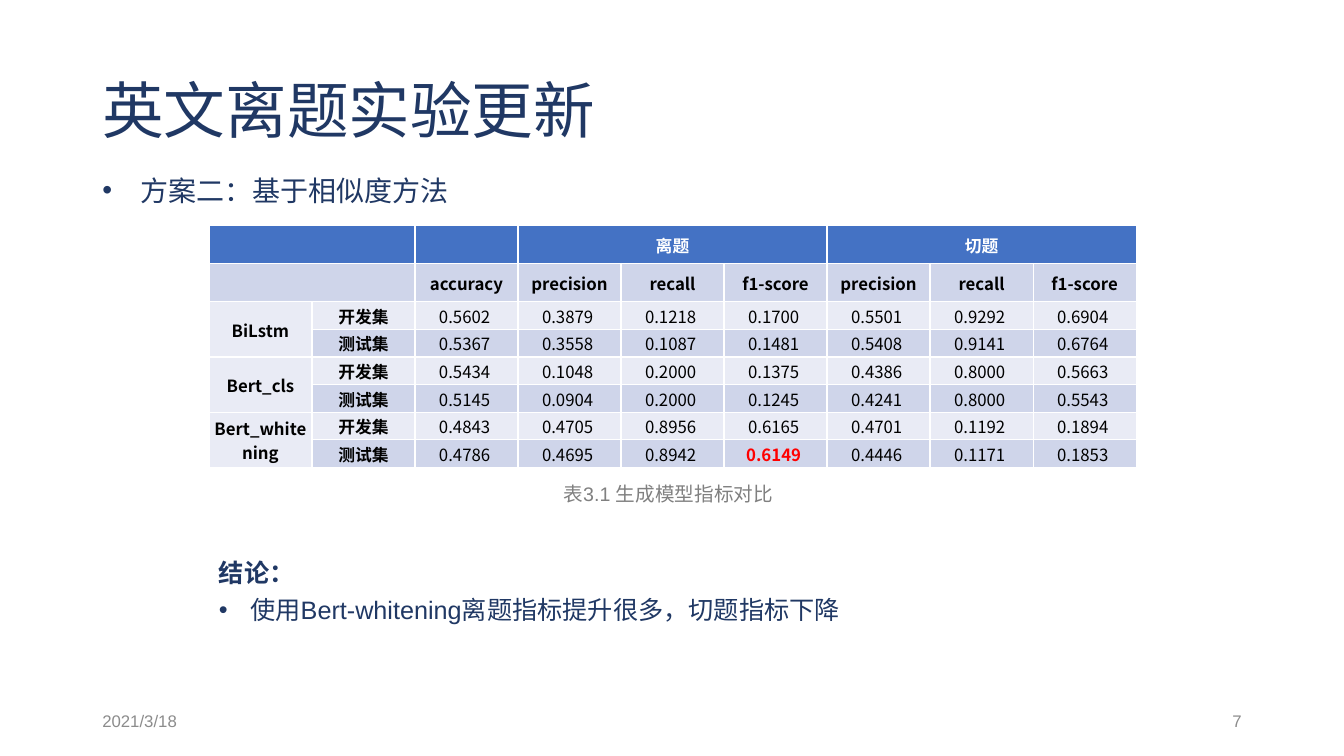
import pptx
import pptx.dml.color
import pptx.enum.lang
import pptx.enum.text
import pptx.oxml
import pptx.util

Pt = pptx.util.Pt
ALIGN = pptx.enum.text.PP_ALIGN
MIDDLE = pptx.enum.text.MSO_ANCHOR.MIDDLE

COLORS = {
    "navy": "203864", "footer": "8C8C8C", "caption": "808080",
    "header": "4472C4", "dark_band": "CFD5EA", "light_band": "E9EBF5",
    "white": "FFFFFF", "black": "000000", "best": "FF0000",
}

METRICS = ["precision", "recall", "f1-score"]
DATA_SETS = ["开发集", "测试集"]
RESULTS = {
    "BiLstm": [
        [0.5602, 0.3879, 0.1218, 0.1700, 0.5501, 0.9292, 0.6904],
        [0.5367, 0.3558, 0.1087, 0.1481, 0.5408, 0.9141, 0.6764],
    ],
    "Bert_cls": [
        [0.5434, 0.1048, 0.2000, 0.1375, 0.4386, 0.8000, 0.5663],
        [0.5145, 0.0904, 0.2000, 0.1245, 0.4241, 0.8000, 0.5543],
    ],
    "Bert_whitening": [
        [0.4843, 0.4705, 0.8956, 0.6165, 0.4701, 0.1192, 0.1894],
        [0.4786, 0.4695, 0.8942, 0.6149, 0.4446, 0.1171, 0.1853],
    ],
}
BEST_SCORE = 0.6149
COLUMN_WIDTH = 73.6
HEADING_HEIGHT = 27.4
ROW_HEIGHT = 19.75


def rgb(name):
    return pptx.dml.color.RGBColor.from_string(COLORS[name])


def style_runs(paragraph, size, font_name, color, bold=False):
    for run in paragraph.runs:
        run.font.size = Pt(size)
        run.font.name = font_name
        run.font.bold = bold
        run.font.color.rgb = rgb(color)
        run.font.language_id = pptx.enum.lang.MSO_LANGUAGE_ID.SIMPLIFIED_CHINESE


def add_bullet(paragraph, indent):
    properties = paragraph._p.get_or_add_pPr()
    properties.set("marL", str(Pt(indent)))
    properties.set("indent", str(-Pt(indent)))
    properties.append(pptx.oxml.parse_xml(
        '<a:buFont xmlns:a="http://schemas.openxmlformats.org/drawingml/2006/main" typeface="Arial"/>'))
    properties.append(pptx.oxml.parse_xml(
        '<a:buChar xmlns:a="http://schemas.openxmlformats.org/drawingml/2006/main" char="•"/>'))


def add_text(slide, text, left, top, width, height, size, font_name, color,
             anchor=None, align=None, wrap=True):
    """Add a text box in one style and return its text frame."""
    text_frame = slide.shapes.add_textbox(Pt(left), Pt(top), Pt(width), Pt(height)).text_frame
    text_frame.word_wrap = wrap
    text_frame.vertical_anchor = anchor
    text_frame.text = text
    for paragraph in text_frame.paragraphs:
        paragraph.alignment = align
        style_runs(paragraph, size, font_name, color)
    return text_frame


def fill_cell(cell, text, font_name="Noto Sans CJK SC", color="black", bold=True):
    cell.vertical_anchor = MIDDLE
    cell.margin_left = cell.margin_right = cell.margin_top = Pt(0.75)
    cell.margin_bottom = 0
    cell.text = text
    paragraph = cell.text_frame.paragraphs[0]
    paragraph.alignment = ALIGN.CENTER
    style_runs(paragraph, 12, font_name, color, bold)


def add_results_table(slide):
    row_heights = [HEADING_HEIGHT] * 2 + [ROW_HEIGHT] * len(RESULTS) * len(DATA_SETS)
    table = slide.shapes.add_table(len(row_heights), 9, Pt(149.25), Pt(160.75),
                                   Pt(9 * COLUMN_WIDTH), Pt(sum(row_heights))).table
    for column in table.columns:
        column.width = Pt(COLUMN_WIDTH)
    for index, height in enumerate(row_heights):
        table.rows[index].height = Pt(height)
        band = "header" if index == 0 else "dark_band" if index % 2 else "light_band"
        for cell in table.rows[index].cells:
            cell.fill.solid()
            cell.fill.fore_color.rgb = rgb(band)
            cell.margin_top = cell.margin_bottom = 0

    for row in (0, 1):
        table.cell(row, 0).merge(table.cell(row, 1))
    for column, topic in ((3, "离题"), (6, "切题")):
        table.cell(0, column).merge(table.cell(0, column + 2))
        fill_cell(table.cell(0, column), topic, "Arial", "white")
    for column, metric in enumerate(["accuracy"] + METRICS * 2, start=2):
        fill_cell(table.cell(1, column), metric)

    for model_index, (model, score_rows) in enumerate(RESULTS.items()):
        first_row = 2 + model_index * len(DATA_SETS)
        table.cell(first_row, 0).merge(table.cell(first_row + 1, 0))
        fill_cell(table.cell(first_row, 0), model)
        for row, (data_set, scores) in enumerate(zip(DATA_SETS, score_rows), start=first_row):
            fill_cell(table.cell(row, 1), data_set)
            for column, score in enumerate(scores, start=2):
                best = score == BEST_SCORE
                fill_cell(table.cell(row, column), f"{score:.4f} ",
                          color="best" if best else "black", bold=best)


def add_conclusion(slide):
    text_frame = add_text(slide, "结论：\n使用Bert-whitening离题指标提升很多，切题指标下降",
                          149.25, 388.8, 662.4, 59, 18, "Arial", "navy")
    heading, finding = text_frame.paragraphs
    heading.runs[0].font.bold = True
    for paragraph in text_frame.paragraphs:
        paragraph.line_spacing = 1.25
    add_bullet(finding, 22.5)


def main():
    presentation = pptx.Presentation()
    presentation.slide_width = Pt(960)
    presentation.slide_height = Pt(540)
    slide = presentation.slides.add_slide(presentation.slide_layouts[6])

    title = add_text(slide, "英文离题实验更新", 66, 28.75, 828, 104.4, 44,
                     "Times New Roman", "navy", anchor=MIDDLE)
    title.paragraphs[0].line_spacing = 0.9
    add_text(slide, "2021/3/18", 66, 500.5, 216, 28.75, 12, "Arial", "footer", anchor=MIDDLE)
    add_text(slide, "7", 678, 500.5, 216, 28.75, 12, "Arial", "footer",
             anchor=MIDDLE, align=ALIGN.RIGHT)
    add_results_table(slide)
    add_text(slide, "表3.1 生成模型指标对比", 395.5, 340.5, 169, 24.5, 14, "Arial", "caption")
    method = add_text(slide, "方案二：基于相似度方法", 66, 120.25, 264.25, 31.5, 20,
                      "Times New Roman", "navy", wrap=False)
    add_bullet(method.paragraphs[0], 27)
    add_conclusion(slide)
    presentation.save("out.pptx")


if __name__ == "__main__":
    main()
